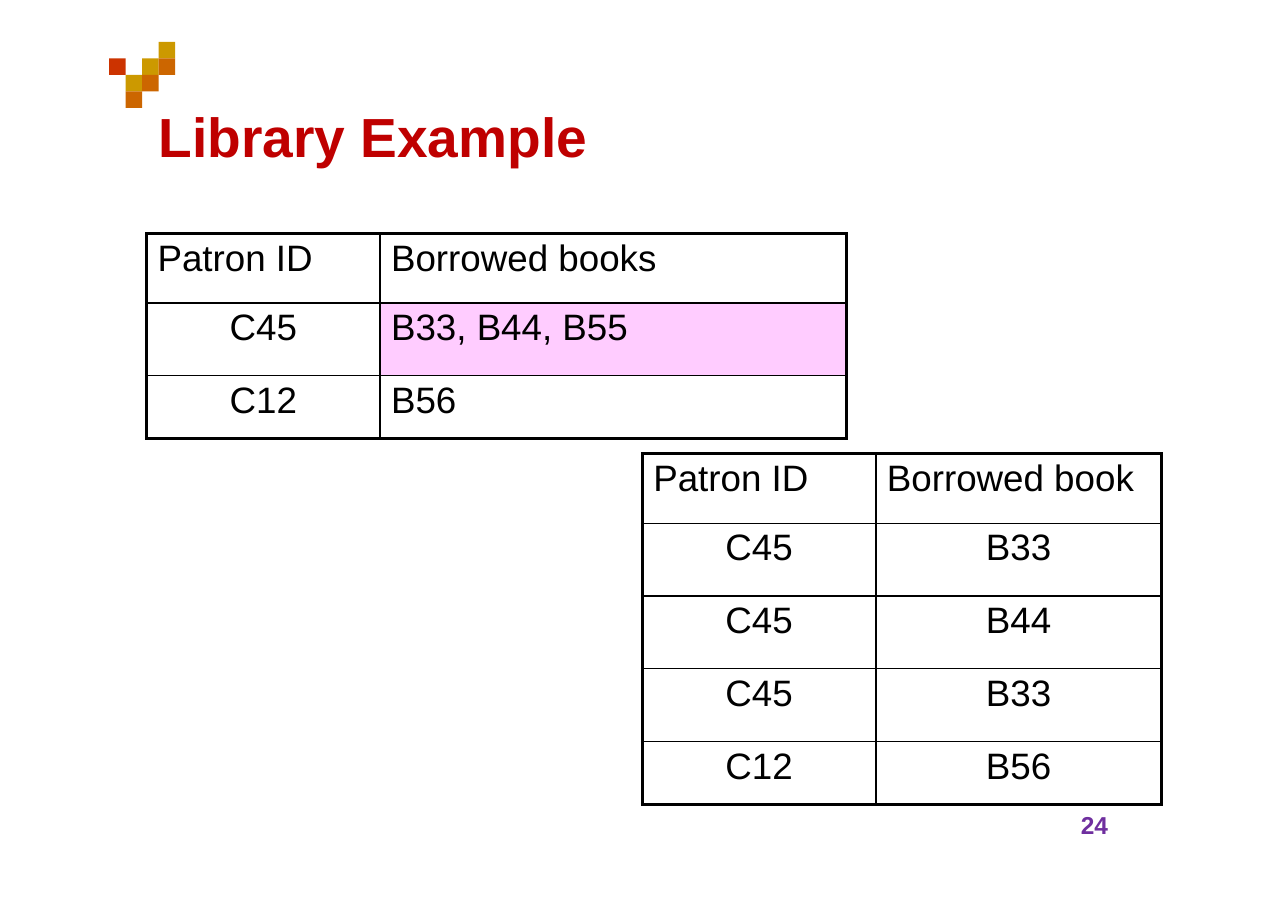
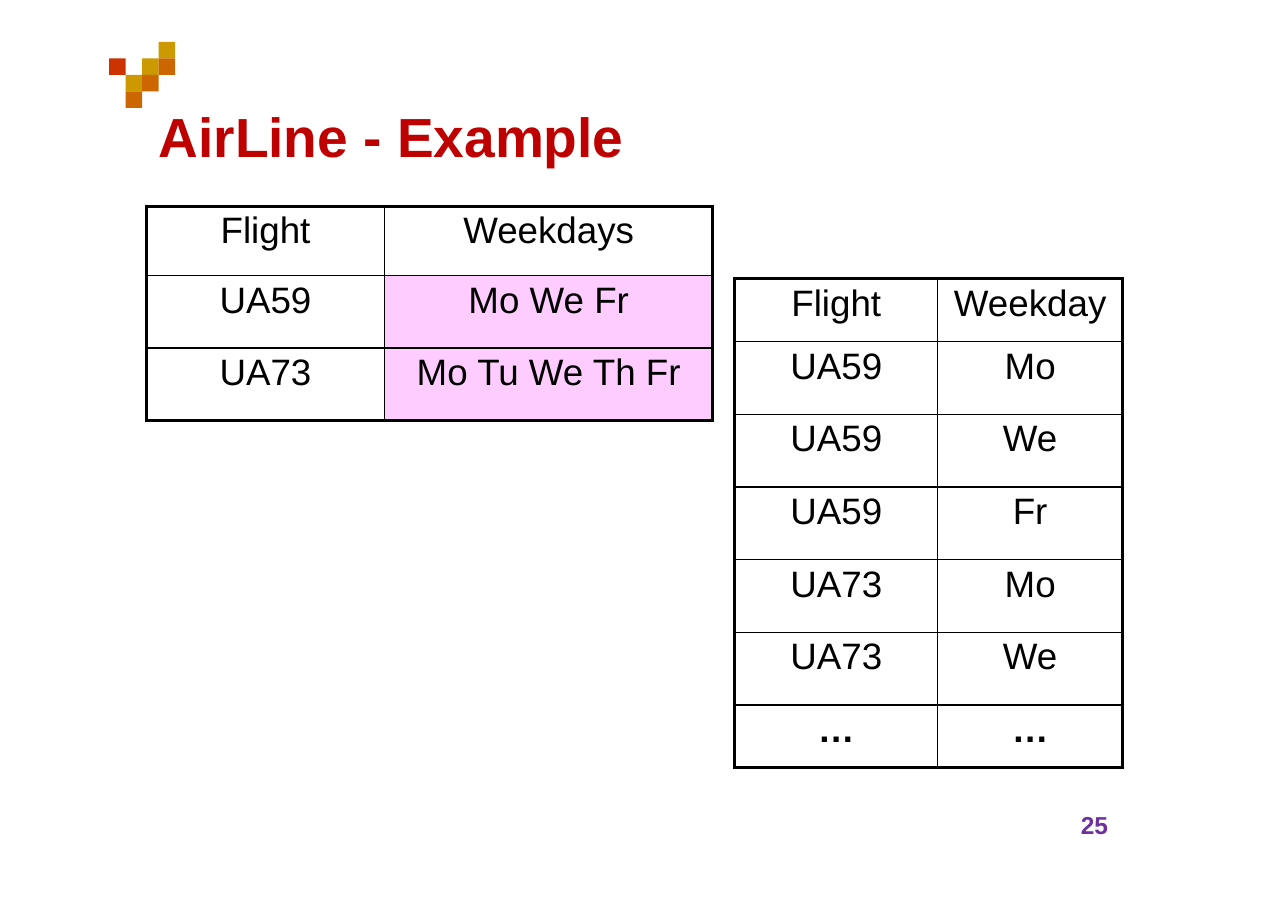
from pptx import Presentation
from pptx.dml.color import RGBColor
from pptx.enum.shapes import MSO_SHAPE
from pptx.enum.text import PP_ALIGN
from pptx.oxml.ns import qn
from pptx.util import Inches, Pt
from lxml.etree import SubElement

COLORS = {
    "title": "BF0000",
    "page": "6F2F9F",
    "text": "000000",
    "repeating": "FFCCFF",
    "gold": "CC9900",
    "orange": "CC6600",
    "red": "CC3300",
}
FONT = "Arial"
OUTER_BORDER, INNER_BORDER = 2.25, 1
LEFT, CENTER = PP_ALIGN.LEFT, PP_ALIGN.CENTER

# Corner motif: (column, row, colour) of each small square
MOTIF_LEFT, MOTIF_TOP, MOTIF_STEP = 0.99, 0.38, 0.15
MOTIF = [
    (0, 1, "red"),
    (3, 0, "gold"), (2, 1, "gold"), (1, 2, "gold"),
    (3, 1, "orange"), (2, 2, "orange"), (1, 3, "orange"),
]

# "header" and "body" hold the alignment of each column;
# "repeating" holds the (row, column) cells with several values.
SLIDES = [
    {
        "title": "Library Example",
        "page": "24",
        "tables": [
            {
                "at": (1.33, 2.12),
                "widths": [2.12, 4.23],
                "heights": [0.63, 0.66, 0.57],
                "header": (LEFT, LEFT),
                "body": (CENTER, LEFT),
                "repeating": {(1, 1)},
                "rows": [
                    ("Patron ID", "Borrowed books"),
                    ("C45", "B33, B44, B55"),
                    ("C12", "B56"),
                ],
            },
            {
                "at": (5.83, 4.12),
                "widths": [2.12, 2.59],
                "heights": [0.63, 0.66, 0.66, 0.66, 0.57],
                "header": (LEFT, LEFT),
                "body": (CENTER, CENTER),
                "repeating": set(),
                "rows": [
                    ("Patron ID", "Borrowed book"),
                    ("C45", "B33"),
                    ("C45", "B44"),
                    ("C45", "B33"),
                    ("C12", "B56"),
                ],
            },
        ],
    },
    {
        "title": "AirLine - Example",
        "page": "25",
        "tables": [
            {
                "at": (1.33, 1.87),
                "widths": [2.16, 2.98],
                "heights": [0.63, 0.66, 0.66],
                "header": (CENTER, CENTER),
                "body": (CENTER, CENTER),
                "repeating": {(1, 1), (2, 1)},
                "rows": [
                    ("Flight", "Weekdays"),
                    ("UA59", "Mo We Fr"),
                    ("UA73", "Mo Tu We Th Fr"),
                ],
            },
            {
                "at": (6.67, 2.53),
                "widths": [1.84, 1.68],
                "heights": [0.57, 0.66, 0.66, 0.66, 0.66, 0.66, 0.57],
                "header": (CENTER, CENTER),
                "body": (CENTER, CENTER),
                "repeating": set(),
                "rows": [
                    ("Flight", "Weekday"),
                    ("UA59", "Mo"),
                    ("UA59", "We"),
                    ("UA59", "Fr"),
                    ("UA73", "Mo"),
                    ("UA73", "We"),
                    ("…", "…"),
                ],
            },
        ],
    },
]


def rgb(name):
    return RGBColor.from_string(COLORS[name])


def style_font(font, size, color, bold=False):
    font.name = FONT
    font.size = Pt(size)
    font.bold = bold
    font.color.rgb = rgb(color)


def add_label(slide, text, box, size, color):
    """Add a bold one-line text box without margins."""
    frame = slide.shapes.add_textbox(*map(Inches, box)).text_frame
    frame.word_wrap = True
    frame.margin_left = frame.margin_right = 0
    frame.margin_top = frame.margin_bottom = 0
    frame.text = text
    style_font(frame.paragraphs[0].runs[0].font, size, color, bold=True)


def add_motif(slide):
    for column, row, color in MOTIF:
        square = slide.shapes.add_shape(
            MSO_SHAPE.RECTANGLE,
            Inches(MOTIF_LEFT + column * MOTIF_STEP),
            Inches(MOTIF_TOP + row * MOTIF_STEP),
            Inches(MOTIF_STEP), Inches(MOTIF_STEP))
        square.shadow.inherit = False
        square.fill.solid()
        square.fill.fore_color.rgb = rgb(color)
        square.line.fill.background()


def set_borders(cell, outer_sides):
    """Draw all four borders, heavier on the outer sides of the table."""
    properties = cell._tc.get_or_add_tcPr()
    for side in "LRTB":
        width = OUTER_BORDER if side in outer_sides else INNER_BORDER
        line = SubElement(properties, qn(f"a:ln{side}"), w=str(Pt(width)))
        fill = SubElement(line, qn("a:solidFill"))
        SubElement(fill, qn("a:srgbClr"), val=COLORS["text"])


def fill_cell(cell, text, align, repeating):
    cell.margin_top = Inches(0.04)
    cell.margin_left = Inches(0.1 if align == LEFT else 0)
    cell.margin_right = cell.margin_bottom = 0
    if repeating:
        cell.fill.solid()
        cell.fill.fore_color.rgb = rgb("repeating")
    else:
        cell.fill.background()
    cell.text_frame.text = text
    paragraph = cell.text_frame.paragraphs[0]
    paragraph.alignment = align
    style_font(paragraph.runs[0].font, 24, "text", bold=text == "…")


def add_relation(slide, relation):
    rows, widths, heights = (relation[key] for key in ("rows", "widths", "heights"))
    left, top = relation["at"]
    table = slide.shapes.add_table(
        len(rows), len(widths), Inches(left), Inches(top),
        Inches(sum(widths)), Inches(sum(heights))).table
    table.first_row = table.horz_banding = False
    for column, width in zip(table.columns, widths):
        column.width = Inches(width)
    for row, height in zip(table.rows, heights):
        row.height = Inches(height)

    for r, values in enumerate(rows):
        aligns = relation["body" if r else "header"]
        for c, (text, align) in enumerate(zip(values, aligns)):
            edges = {"L": c == 0, "R": c == len(widths) - 1,
                     "T": r == 0, "B": r == len(rows) - 1}
            cell = table.cell(r, c)
            set_borders(cell, {side for side, outer in edges.items() if outer})
            fill_cell(cell, text, align, (r, c) in relation["repeating"])


def main():
    deck = Presentation()
    deck.slide_width, deck.slide_height = Inches(11.69), Inches(8.26)
    for content in SLIDES:
        slide = deck.slides.add_slide(deck.slide_layouts[6])
        add_motif(slide)
        add_label(slide, content["title"], (1.44, 0.93, 8.5, 0.63), 36, "title")
        add_label(slide, content["page"], (9.81, 7.35, 0.4, 0.28), 16, "page")
        for relation in content["tables"]:
            add_relation(slide, relation)
    deck.save("out.pptx")


if __name__ == "__main__":
    main()
